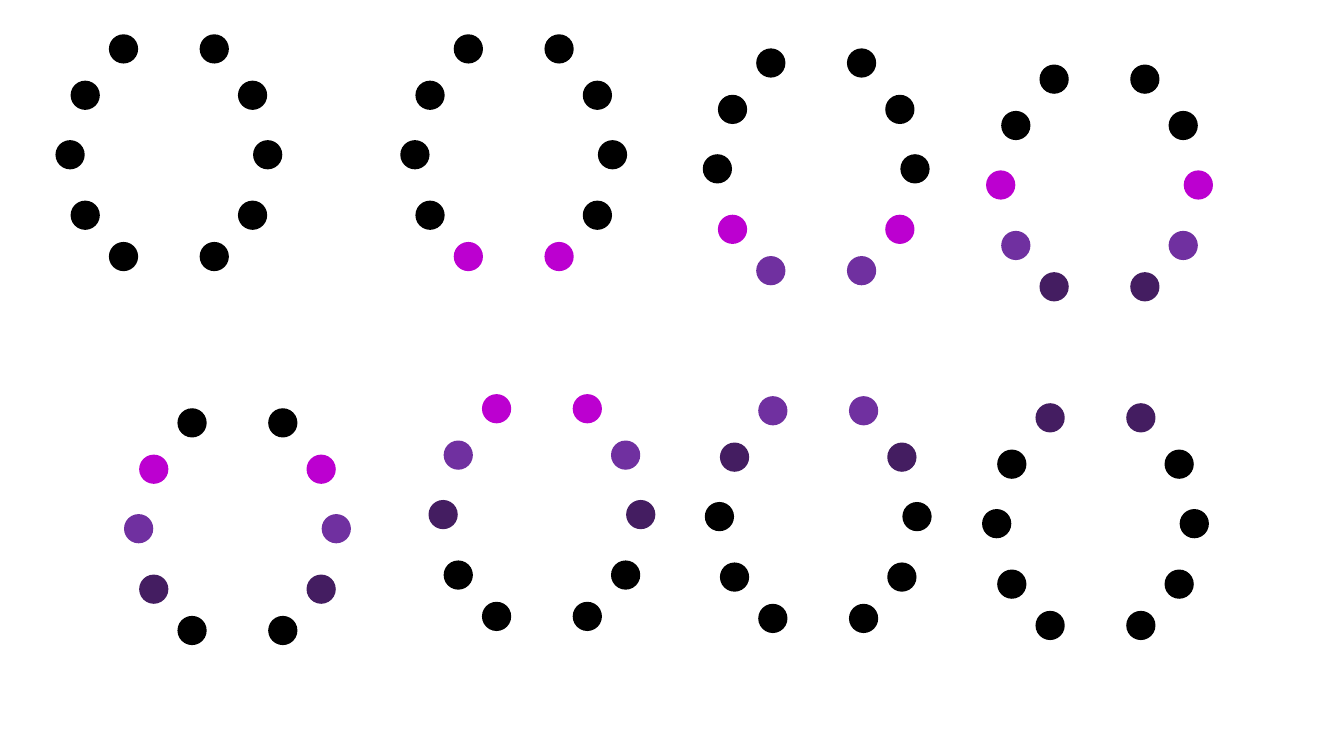
from pptx import Presentation
from pptx.dml.color import RGBColor
from pptx.enum.shapes import MSO_SHAPE
from pptx.util import Inches

OVAL = MSO_SHAPE.OVAL
BLACK = RGBColor(0x00, 0x00, 0x00)
BRIGHT = RGBColor(0xBC, 0x00, 0xD0)
MID = RGBColor(0x70, 0x30, 0xA0)
DARK = RGBColor(0x44, 0x1D, 0x61)

# Left and top of each ring, in order of the animation steps
RINGS = [
    (0.55, 0.34), (3.97, 0.34), (6.97, 0.48), (9.78, 0.64),
    (1.23, 4.05), (4.25, 3.91), (6.99, 3.93), (9.74, 4.00),
]
# Inset from the ring's side and drop from its top, for each row of dots
ROWS = [(0.53, 0), (0.15, 0.46), (0, 1.05), (0.15, 1.65), (0.53, 2.06)]
TRAIL = [BRIGHT, MID, DARK]  # from the head of the wave downwards
SPAN = 1.96                  # between the left edges of the widest pair
DOT = 0.29

# Slide
deck = Presentation()
deck.slide_width, deck.slide_height = Inches(13.33), Inches(7.5)
slide = deck.slides.add_slide(deck.slide_layouts[6])


def add_dot(x, y, color):
    dot = slide.shapes.add_shape(
        OVAL, Inches(x), Inches(y), Inches(DOT), Inches(DOT))
    dot.shadow.inherit = False
    dot.fill.solid()
    dot.fill.fore_color.rgb = color
    dot.line.fill.background()


# Rings: the head of the wave climbs one row at each step
for step, (left, top) in enumerate(RINGS):
    head = len(ROWS) - step
    for side in (0, 1):
        for row, (inset, drop) in enumerate(ROWS):
            lag = row - head
            color = TRAIL[lag] if 0 <= lag < len(TRAIL) else BLACK
            x = left + (SPAN - inset if side else inset)
            add_dot(x, top + drop, color)

deck.save("out.pptx")
